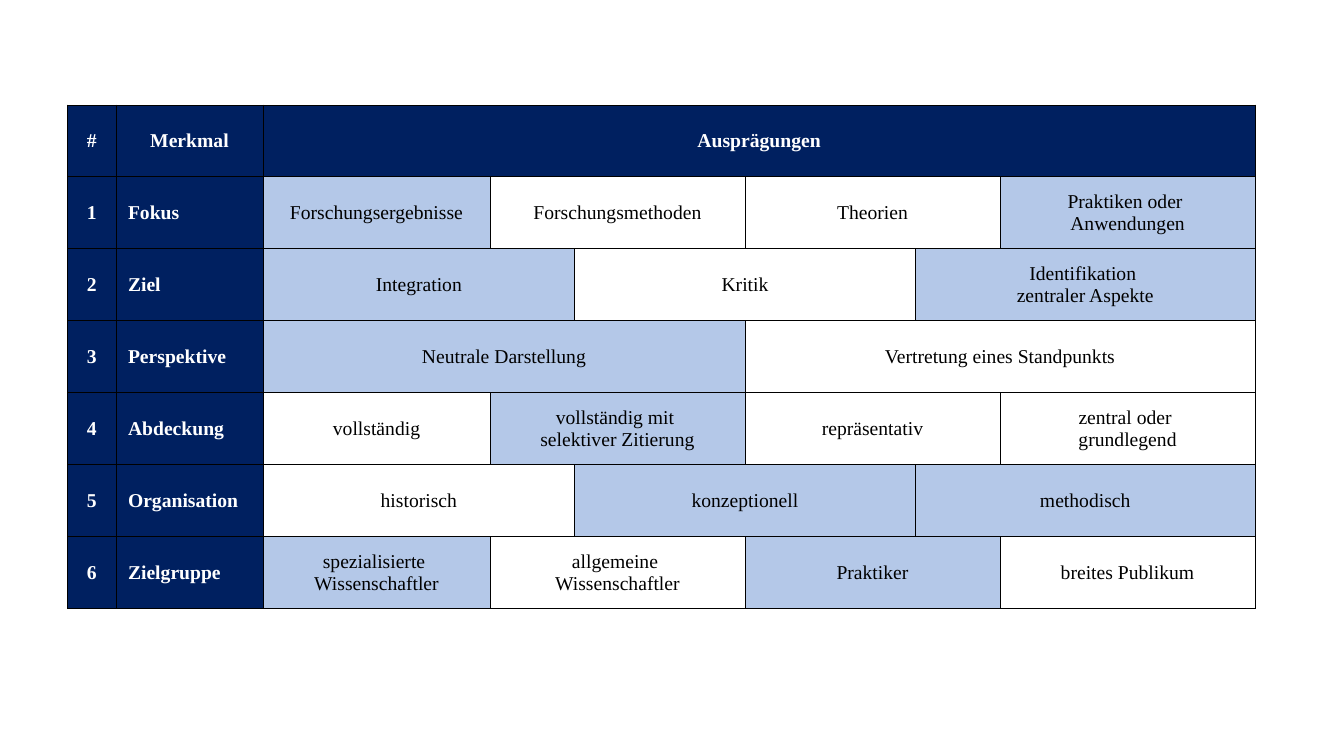
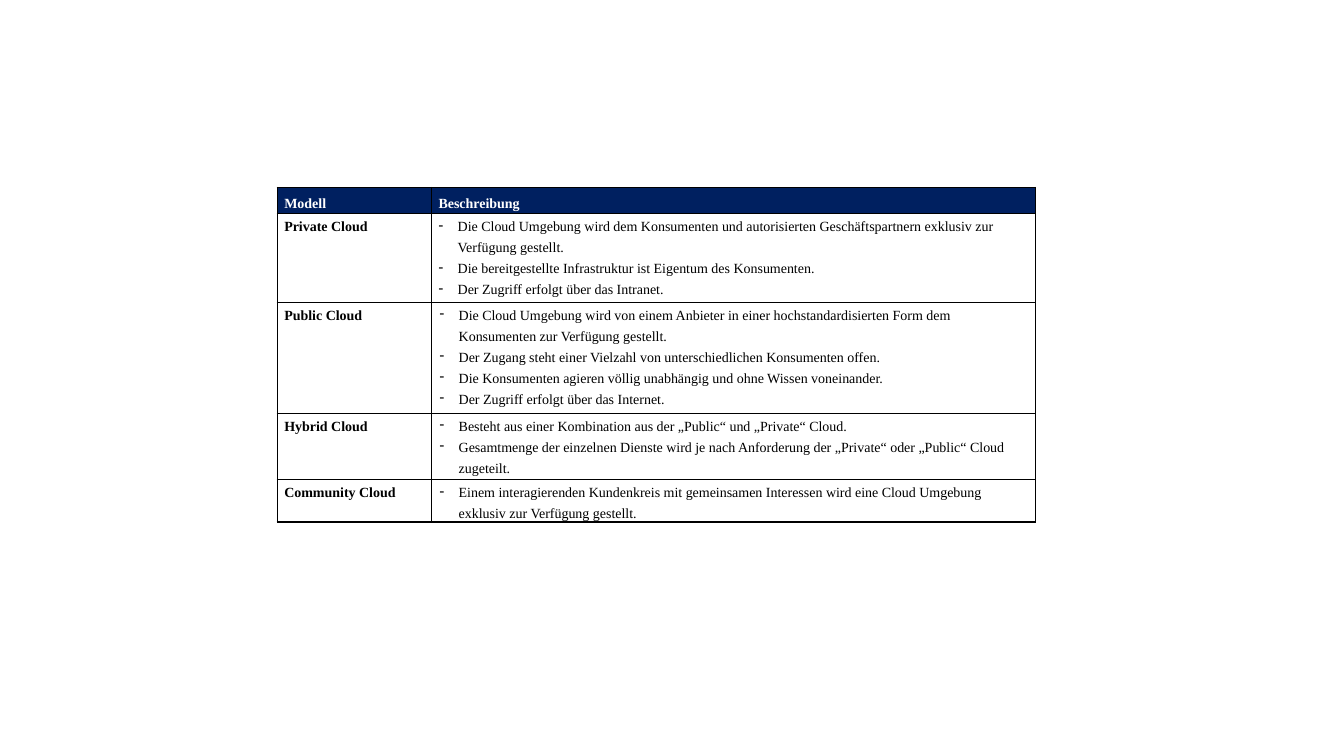
"""Build two table slides: a feature matrix and a list of cloud models."""
from dataclasses import dataclass, replace
from typing import NamedTuple

from lxml import etree
from pptx import Presentation
from pptx.dml.color import RGBColor
from pptx.enum.text import MSO_ANCHOR, PP_ALIGN
from pptx.oxml.ns import qn
from pptx.util import Emu, Pt

PX = 9144
MID, TOP = MSO_ANCHOR.MIDDLE, MSO_ANCHOR.TOP
LEFT, CENTER, JUST = PP_ALIGN.LEFT, PP_ALIGN.CENTER, PP_ALIGN.JUSTIFY
NAVY, PALE, WHITE, BLACK = "002060", "B4C8E8", "FFFFFF", "000000"
FONT = "Times New Roman"
PLAIN = {"first_row": False, "horz_banding": False}
SPANS = {1: (6,), 2: (3, 3), 3: (2, 2, 2), 4: (1, 2, 2, 1)}


@dataclass(frozen=True)
class Look:
    size: int
    color: str = BLACK
    bold: bool = False
    fill: str = ""
    align: PP_ALIGN = CENTER
    anchor: MSO_ANCHOR = MID
    left: int = 0
    right: int = 0
    lead: int = 0
    hang: int = 0


class Option(NamedTuple):
    text: str
    picked: bool = False


class Trait(NamedTuple):
    name: str
    options: list[Option]


class Model(NamedTuple):
    name: str
    height: int
    hang: int
    points: list[str]


HEAD = Look(14, WHITE, True, NAVY)
NAME = replace(HEAD, align=LEFT, left=12)
OPEN = Look(14)
PICK = replace(OPEN, fill=PALE)
LABEL = Look(10, BLACK, True, WHITE, JUST, TOP, 7, 7, 15)
TITLE = replace(LABEL, color=WHITE, fill=NAVY, anchor=MID)
POINT = replace(LABEL, bold=False, align=LEFT)

TRAITS = [
    Trait("Fokus", [
        Option("Forschungsergebnisse", True), Option("Forschungsmethoden"),
        Option("Theorien"), Option("Praktiken oder \nAnwendungen", True)]),
    Trait("Ziel", [
        Option("Integration", True), Option("Kritik"),
        Option("Identifikation \nzentraler Aspekte", True)]),
    Trait("Perspektive", [
        Option("Neutrale Darstellung", True),
        Option("Vertretung eines Standpunkts")]),
    Trait("Abdeckung", [
        Option("vollständig"),
        Option("vollständig mit \nselektiver Zitierung", True),
        Option("repräsentativ"), Option("zentral oder \ngrundlegend")]),
    Trait("Organisation", [
        Option("historisch"), Option("konzeptionell", True),
        Option("methodisch", True)]),
    Trait("Zielgruppe", [
        Option("spezialisierte \nWissenschaftler", True),
        Option("allgemeine \nWissenschaftler"),
        Option("Praktiker", True), Option("breites Publikum")]),
]

MODELS = [
    Model("Private Cloud", 88, 19, [
        "Die Cloud Umgebung wird dem Konsumenten und autorisierten "
        "Geschäftspartnern exklusiv zur Verfügung gestellt.",
        "Die bereitgestellte Infrastruktur ist Eigentum des Konsumenten.",
        "Der Zugriff erfolgt über das Intranet."]),
    Model("Public Cloud", 110, 20, [
        "Die Cloud Umgebung wird von einem Anbieter in einer "
        "hochstandardisierten Form dem Konsumenten zur Verfügung gestellt.",
        "Der Zugang steht einer Vielzahl von unterschiedlichen "
        "Konsumenten offen.",
        "Die Konsumenten agieren völlig unabhängig und ohne Wissen "
        "voneinander.",
        "Der Zugriff erfolgt über das Internet."]),
    Model("Hybrid Cloud", 66, 20, [
        "Besteht aus einer Kombination aus der „Public“ und „Private“ Cloud.",
        "Gesamtmenge der einzelnen Dienste wird je nach Anforderung der "
        "„Private“ oder „Public“ Cloud zugeteilt."]),
    Model("Community Cloud", 42, 20, [
        "Einem interagierenden Kundenkreis mit gemeinsamen Interessen wird "
        "eine Cloud Umgebung exklusiv zur Verfügung gestellt."]),
]


def px(count: int) -> Emu:
    """Turn pixels into EMU."""
    return Emu(count * PX)


def rgb(code: str) -> RGBColor:
    """Turn a hex string into a colour."""
    return RGBColor.from_string(code)


def assign(target, values: dict) -> None:
    """Set each named attribute on the target."""
    for key, value in values.items():
        setattr(target, key, value)


def edge(cell, sides: dict[str, float]) -> None:
    """Draw black borders with the given widths in points."""
    props = cell._tc.get_or_add_tcPr()
    for index, (side, width) in enumerate(sides.items()):
        line = etree.Element(qn(f"a:ln{side}"), w=str(Pt(width)))
        fill = etree.SubElement(line, qn("a:solidFill"))
        etree.SubElement(fill, qn("a:srgbClr"), val=BLACK)
        props.insert(index, line)


def bullet(para, hang: int) -> None:
    """Give a paragraph a dash and a hanging indent."""
    props = para._p.get_or_add_pPr()
    props.set("marL", str(px(hang)))
    props.set("indent", str(px(-19)))
    etree.SubElement(props, qn("a:buChar"), char="-")


def write(cell, text: str, look: Look) -> None:
    """Fill a cell and write one paragraph per line."""
    assign(cell, {
        "vertical_anchor": look.anchor,
        "margin_left": px(look.left), "margin_right": px(look.right),
        "margin_top": 0, "margin_bottom": 0})
    if look.fill:
        cell.fill.solid()
        cell.fill.fore_color.rgb = rgb(look.fill)
    else:
        cell.fill.background()
    cell.text_frame.text = text
    for para in cell.text_frame.paragraphs:
        para.alignment = look.align
        if look.lead:
            para.line_spacing = Pt(look.lead)
        if look.hang:
            bullet(para, look.hang)
        for run in para.runs:
            assign(run.font, {"name": FONT, "size": Pt(look.size),
                              "bold": look.bold})
            run.font.color.rgb = rgb(look.color)


def grid(slide, rows: int, cols: list[int], box: tuple[int, int, int]):
    """Add a plain table at left and top with the given height."""
    left, top, height = box
    frame = slide.shapes.add_table(
        rows, len(cols), px(left), px(top), px(sum(cols)), px(height))
    table = frame.table
    assign(table, PLAIN)
    for col, width in zip(table.columns, cols):
        col.width = px(width)
    return table


def matrix(slide) -> None:
    """Draw the table of traits and their options."""
    cols = [48, 146, 225, 84, 169, 169, 84, 253]
    last = len(TRAITS)
    table = grid(slide, last + 1, cols, (67, 104, 500))
    lines = [("#", "Merkmal", [Option("Ausprägungen")])]
    lines += [(str(num), *trait) for num, trait in enumerate(TRAITS, 1)]
    for row, (num, name, options) in enumerate(lines):
        write(table.cell(row, 0), num, HEAD)
        write(table.cell(row, 1), name, NAME if row else HEAD)
        col = 2
        for option, span in zip(options, SPANS[len(options)]):
            cell = table.cell(row, col)
            if span > 1:
                cell.merge(table.cell(row, col + span - 1))
            look = PICK if option.picked else OPEN
            write(cell, option.text, look if row else HEAD)
            col += span
        sides = {"L": 0.5, "R": 0.5, "T": 1 if row else 0.5,
                 "B": 1 if row < last else 0.5}
        for cell in table.rows[row].cells:
            edge(cell, sides)


def clouds(slide) -> None:
    """Draw the table of cloud models."""
    highs = [26] + [model.height for model in MODELS]
    table = grid(slide, len(highs), [153, 599], (275, 186, sum(highs)))
    for row, high in zip(table.rows, highs):
        row.height = px(high)
    for col, text in enumerate(("Modell", "Beschreibung")):
        write(table.cell(0, col), text, TITLE)
    for row, model in enumerate(MODELS, 1):
        write(table.cell(row, 0), model.name, LABEL)
        write(table.cell(row, 1), "\n".join(model.points),
              replace(POINT, hang=model.hang))
    for cell in table.iter_cells():
        edge(cell, dict.fromkeys("LRTB", 1))


def main() -> None:
    """Build and save the deck."""
    deck = Presentation()
    assign(deck, {"slide_width": px(1333), "slide_height": px(750)})
    for draw in (matrix, clouds):
        draw(deck.slides.add_slide(deck.slide_layouts[6]))
    deck.save("out.pptx")


if __name__ == "__main__":
    main()
